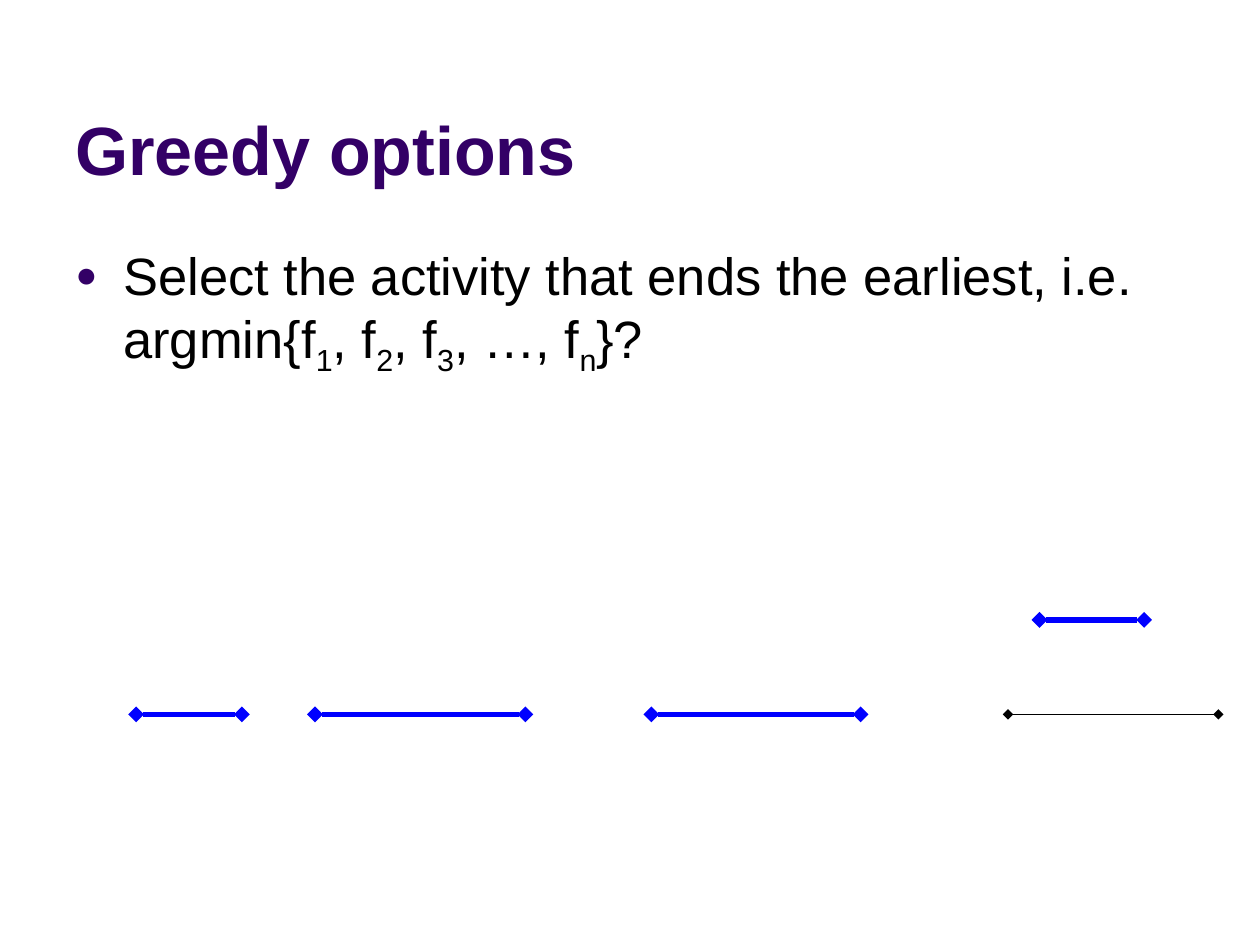
from lxml import etree
from pptx import Presentation
from pptx.dml.color import RGBColor
from pptx.enum import shapes, text
from pptx.oxml.ns import qn
from pptx.util import Inches, Pt

PURPLE = RGBColor(0x33, 0x00, 0x66)
BLACK = RGBColor(0x00, 0x00, 0x00)
BLUE = RGBColor(0x00, 0x00, 0xFF)


def add_text(s, runs, left, top, width, height, size, color,
             bold=False, anchor=text.MSO_ANCHOR.TOP):
    """Add a one-paragraph text box; runs holds (words, is_subscript) pairs."""
    tf = s.shapes.add_textbox(Inches(left), Inches(top),
                              Inches(width), Inches(height)).text_frame
    tf.word_wrap = True
    tf.vertical_anchor = anchor
    p = tf.paragraphs[0]
    for words, is_subscript in runs:
        r = p.add_run()
        r.text = words
        r.font.name = "Arial"
        r.font.size = Pt(size)
        r.font.bold = bold
        r.font.color.rgb = color
        if is_subscript:
            r.font._element.set("baseline", "-25000")
    return p


def add_activity(s, start, finish, y, color, width):
    """Draw an activity as a line with a diamond at its start and finish."""
    line = s.shapes.add_connector(shapes.MSO_CONNECTOR.STRAIGHT, Inches(start),
                                  Inches(y), Inches(finish), Inches(y))
    line.line.color.rgb = color
    line.line.width = Pt(width)
    ln = line.line._get_or_add_ln()
    for end in ("a:headEnd", "a:tailEnd"):
        etree.SubElement(ln, qn(end), type="diamond")
    etree.SubElement(line._element.spPr, qn("a:effectLst"))


prs = Presentation()
prs.slide_width, prs.slide_height = Inches(10), Inches(7.5)
s = prs.slides.add_slide(prs.slide_layouts[6])

add_text(s, [("Greedy options", False)], 0.5, 0.13, 9, 1.42, 39, PURPLE,
         bold=True, anchor=text.MSO_ANCHOR.BOTTOM)

runs = [("Select the activity that ends the earliest, i.e. argmin{f", False),
        ("1", True), (", f", False), ("2", True), (", f", False),
        ("3", True), (", …, f", False), ("n", True), ("}?", False)]
p = add_text(s, runs, 0.5, 1.88, 9, 1.87, 30, BLACK)
p.space_before = Pt(6)
pPr = p._p.get_or_add_pPr()
pPr.set("marL", str(Inches(0.38)))
pPr.set("indent", str(Inches(-0.38)))
bullet_color = etree.SubElement(pPr, qn("a:buClr"))
etree.SubElement(bullet_color, qn("a:srgbClr"), val=str(PURPLE))
etree.SubElement(pPr, qn("a:buSzPct"), val="70000")
etree.SubElement(pPr, qn("a:buFont"), typeface="Arial")
etree.SubElement(pPr, qn("a:buChar"), char="●")

LOWER, UPPER = 5.67, 4.92
for start, finish, y, color, width in [
    (1.08, 1.92, LOWER, BLUE, 3),
    (2.5, 4.17, LOWER, BLUE, 3),
    (5.17, 6.83, LOWER, BLUE, 3),
    (8, 9.67, LOWER, BLACK, 0.75),
    (8.25, 9.08, UPPER, BLUE, 3),
]:
    add_activity(s, start, finish, y, color, width)

prs.save("out.pptx")
